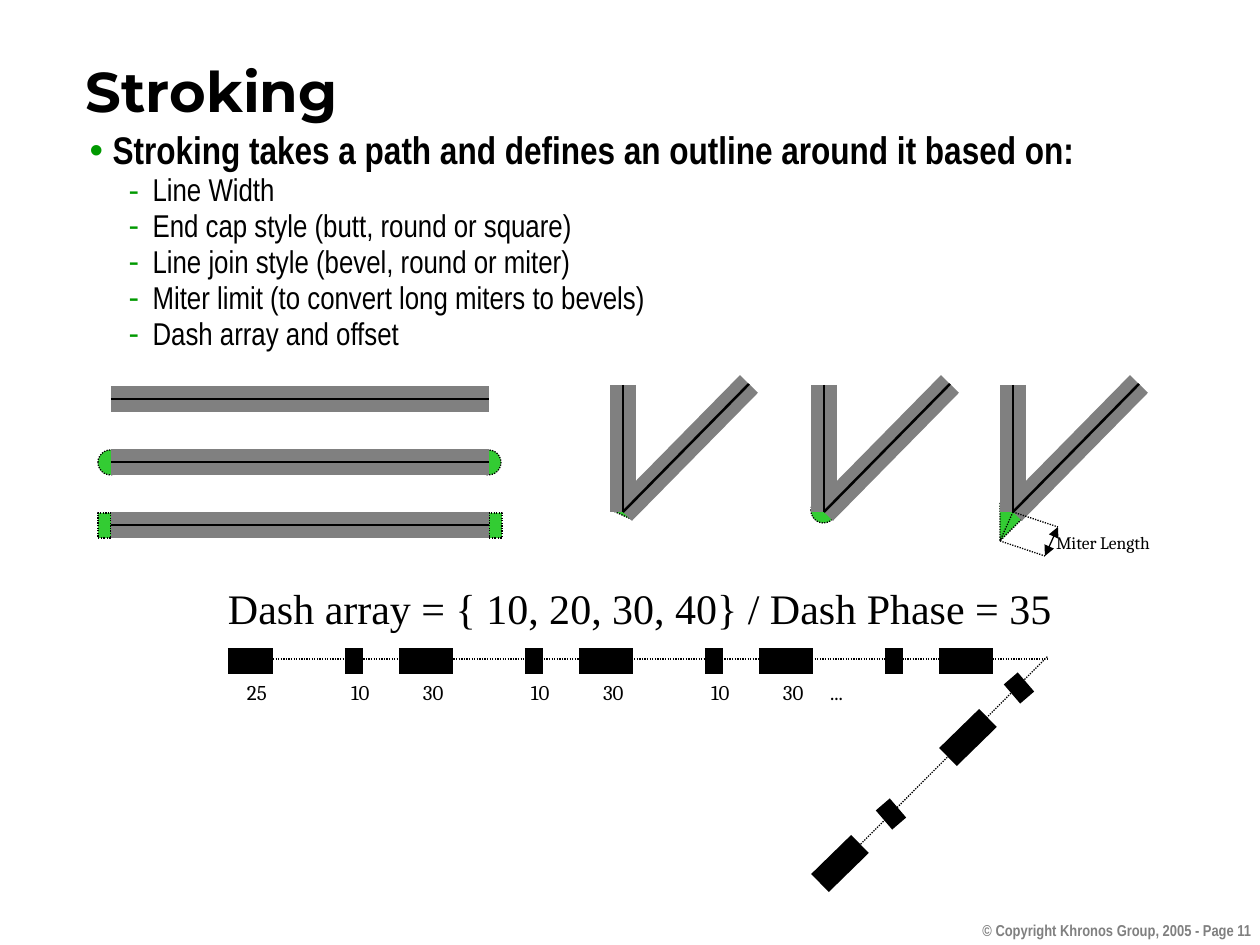
"""Build the slide that explains path stroking."""
import lxml.etree
import pptx
import pptx.dml.color
import pptx.enum.dml
import pptx.enum.shapes
import pptx.enum.text
import pptx.oxml.ns
import pptx.util

SCALE = 914400 / 126
COLORS = {"black": "000000", "grey": "808080", "cap": "33CC33", "bullet": "009900"}
RGB = pptx.dml.color.RGBColor.from_string
DOTTED = pptx.enum.dml.MSO_LINE.ROUND_DOT
SHAPES = pptx.enum.shapes.MSO_SHAPE
ALIGN = pptx.enum.text.PP_ALIGN
qn = pptx.oxml.ns.qn

presentation = pptx.Presentation()
presentation.slide_width = round(1260 * SCALE)
presentation.slide_height = round(945 * SCALE)
slide = presentation.slides.add_slide(presentation.slide_layouts[1])


def draw_line(start, end, color, width, dash=None):
    points = [round(value * SCALE) for value in (*start, *end)]
    connector = slide.shapes.add_connector(pptx.enum.shapes.MSO_CONNECTOR.STRAIGHT, *points)
    connector.line.color.rgb = RGB(COLORS[color])
    connector.line.width = pptx.util.Pt(width)
    if dash:
        connector.line.dash_style = dash
    lxml.etree.SubElement(connector.element.spPr, qn("a:effectLst"))
    return connector


def add_text(paragraph, text, font_name, size, color="black", bold=False):
    run = paragraph.add_run()
    run.text = text
    run.font.name = font_name
    run.font.size = pptx.util.Pt(size)
    run.font.bold = bold
    run.font.color.rgb = RGB(COLORS[color])


title = slide.shapes.title
body = slide.placeholders[1]
for placeholder, box in ((title, (73, 44, 1181, 92)), (body, (77, 122, 1183, 771))):
    placeholder.left, placeholder.top, placeholder.width, placeholder.height = [
        round(value * SCALE) for value in box]
    placeholder.text_frame.auto_size = pptx.enum.text.MSO_AUTO_SIZE.NONE

title.text_frame.vertical_anchor = pptx.enum.text.MSO_ANCHOR.MIDDLE
title.text_frame.paragraphs[0].alignment = ALIGN.LEFT
add_text(title.text_frame.paragraphs[0], "Stroking", "Montserrat", 32, bold=True)

items = [
    "Stroking takes a path and defines an outline around it based on:",
    "Line Width",
    "End cap style (butt, round or square)",
    "Line join style (bevel, round or miter)",
    "Miter limit (to convert long miters to bevels)",
    "Dash array and offset",
]
for index, item in enumerate(items):
    heading = index == 0
    paragraph = body.text_frame.paragraphs[0] if heading else body.text_frame.add_paragraph()
    paragraph.level = 0 if heading else 1
    paragraph.line_spacing = 0.97 if heading else 0.95
    paragraph.space_before = pptx.util.Pt(0)
    properties = paragraph._p.get_or_add_pPr()
    properties.set("marL", str(round((23 if heading else 63) * SCALE)))
    properties.set("indent", str(round((-23 if heading else -24) * SCALE)))
    bullet_color = lxml.etree.SubElement(properties, qn("a:buClr"))
    lxml.etree.SubElement(bullet_color, qn("a:srgbClr"), val=COLORS["bullet"])
    lxml.etree.SubElement(properties, qn("a:buChar"), char="•" if heading else "-")
    add_text(paragraph, item, "Arial Narrow", 22 if heading else 18, bold=heading)

green_shapes = [
    slide.shapes.add_shape(kind, *[round(value * SCALE) for value in box])
    for kind, box in (
        (SHAPES.OVAL, (98, 450, 25, 25)),
        (SHAPES.OVAL, (476, 450, 25, 25)),
        (SHAPES.RECTANGLE, (98, 513, 13, 25)),
        (SHAPES.RECTANGLE, (489, 513, 13, 25)),
        (SHAPES.OVAL, (811, 498, 25, 25)),
    )
]
bevel_join = [(619, 498), (611, 510), (631, 519), (635, 505)]
miter_join = [(1000, 503), (1000, 541), (1026, 515)]
for corners in (bevel_join, miter_join):
    builder = slide.shapes.build_freeform(*corners[0], scale=SCALE)
    builder.add_line_segments(corners[1:], close=True)
    green_shapes.append(builder.convert_to_shape())
for shape in green_shapes:
    shape.shadow.inherit = False
    shape.fill.solid()
    shape.fill.fore_color.rgb = RGB(COLORS["cap"])
    shape.line.color.rgb = RGB(COLORS["black"])
    shape.line.width = pptx.util.Pt(0.75)
    shape.line.dash_style = DOTTED

for y in (399, 462, 525):
    for color, width in (("grey", 14.4), ("black", 1.45)):
        draw_line((111, y), (489, y), color, width)

for x in (623, 824, 1013):
    for color, width in (("grey", 14.4), ("black", 1.45)):
        draw_line((x, 512), (x + 126, 384), color, width)
        draw_line((x, 385), (x, 512), color, width)

for start, end in (((1013, 512), (1058, 527)), ((1000, 541), (1045, 556)),
                   ((1013, 512), (1000, 541))):
    draw_line(start, end, "black", 0.75, DOTTED)
miter_arrow = draw_line((1058, 527), (1045, 556), "black", 0.75)
arrow_line = miter_arrow.element.spPr.find(qn("a:ln"))
for end_tag in ("a:headEnd", "a:tailEnd"):
    lxml.etree.SubElement(arrow_line, qn(end_tag), type="triangle")

dashes = [((228, 661), (273, 661))]
for x in range(345, 1060 - 90, 180):
    dashes += [((x, 661), (x + 18, 661)), ((x + 54, 661), (x + 108, 661))]
for step in range(2):
    x, y = 1026 - 128 * step, 682 + 126 * step
    dashes += [((x, y), (x - 14, y + 12)), ((x - 38, y + 36), (x - 78, y + 75))]
for start, end in dashes:
    draw_line(start, end, "black", 14.4)
draw_line((242, 659), (1047, 659), "black", 0.75, DOTTED)
draw_line((828, 877), (1048, 656), "black", 0.75, DOTTED)

labels = [
    ("Miter Length", (1056, 534, 110, 19), "Cambria", 10, pptx.util.Pt(10.6)),
    ("Dash array = { 10, 20, 30, 40} / Dash Phase = 35", (228, 586, 840, 48),
     "Times New Roman", 24, 0.95),
]
dash_labels = [("25", 247), ("...", 830)]
for x in range(351, 712, 180):
    dash_labels += [("10", x), ("30", x + 72)]
for text, x in dash_labels:
    labels.append((text, (x, 682, 30, 23), "Cambria", 12, pptx.util.Pt(12.9)))
labels.append(("© Copyright Khronos Group, 2005 - Page 11", (963, 921, 288, 30),
               "Arial Narrow", 9, 1.0))
for text, box, font_name, size, spacing in labels:
    text_box = slide.shapes.add_textbox(*[round(value * SCALE) for value in box])
    frame = text_box.text_frame
    frame.word_wrap = True
    frame.margin_left = frame.margin_right = frame.margin_top = frame.margin_bottom = 0
    paragraph = frame.paragraphs[0]
    paragraph.line_spacing = spacing
    footer = text.startswith("©")
    paragraph.alignment = ALIGN.RIGHT if footer else ALIGN.LEFT
    add_text(paragraph, text, font_name, size, "grey" if footer else "black", footer)

presentation.save("out.pptx")
